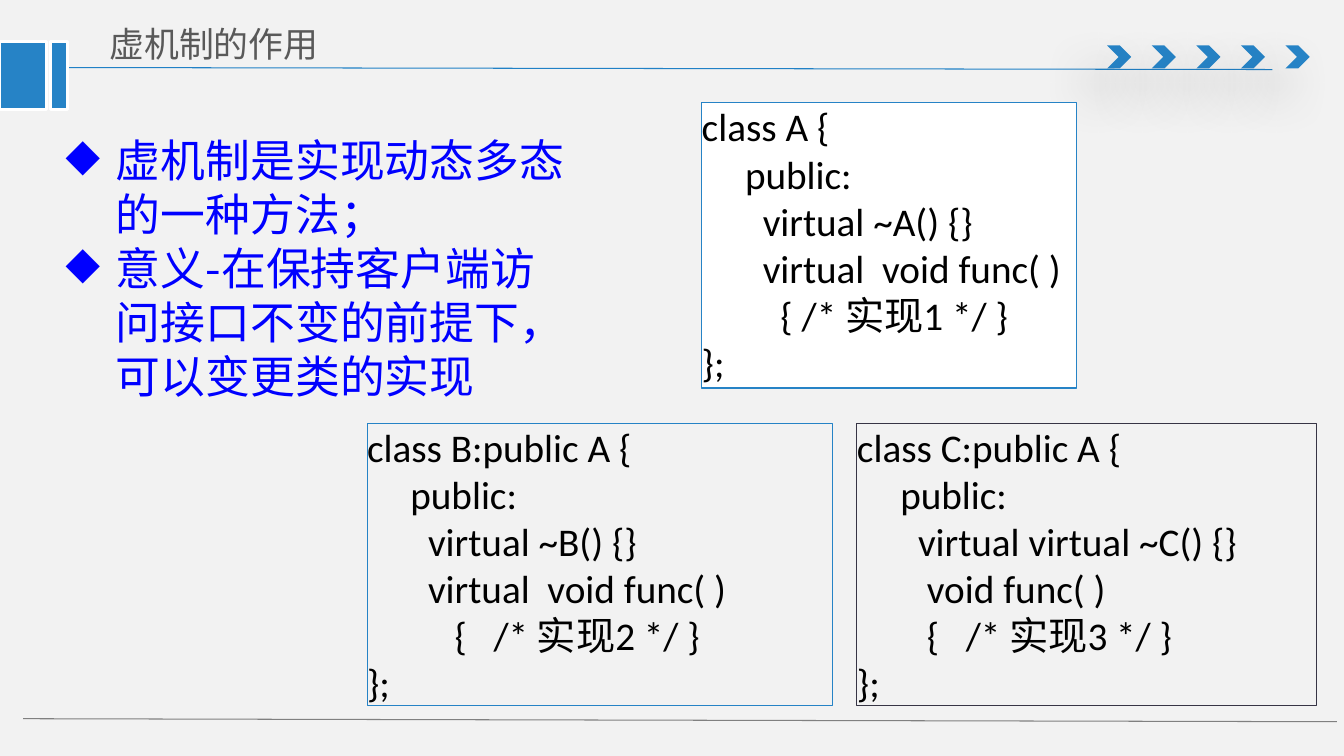
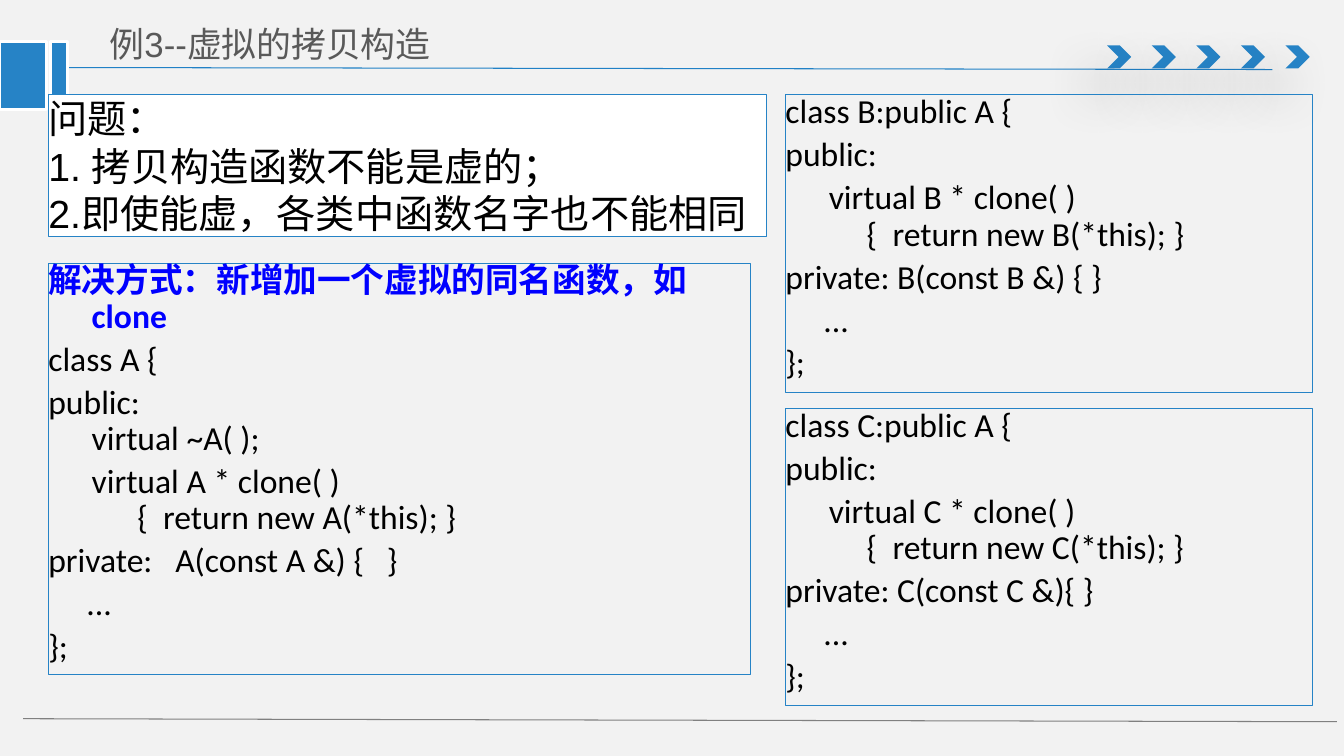
import pptx
import pptx.dml.color
import pptx.enum.shapes
import pptx.enum.text
import pptx.oxml
import pptx.oxml.ns
import pptx.util
from lxml import etree

Inches = pptx.util.Inches
Pt = pptx.util.Pt
PRESET = pptx.enum.shapes.MSO_SHAPE
ANCHOR = pptx.enum.text.MSO_ANCHOR

BLUE, RULE_BLUE, GRAY = "2683C6", "2181C6", "808080"
WHITE, BLACK, DARK = "FFFFFF", "000000", "373545"
PAPER, TITLE_GRAY, ACCENT = "F2F2F2", "595959", "0000FF"
TITLE_FONT, CODE_FONT, POINT_FONT = "Arial", "Calibri", "Noto Sans CJK SC"
CODE_INDENT, POINT_INDENT = 0.43, 0.5


def rgb(value):
    """Turn a hex string into a colour."""
    return pptx.dml.color.RGBColor.from_string(value)


def sub(parent, tag, **attributes):
    """Append a DrawingML element to a parent."""
    return etree.SubElement(parent, pptx.oxml.ns.qn("a:" + tag), attributes)


def add_rule(slide, start, end, color):
    """Draw a thin straight rule without a shadow."""
    rule = slide.shapes.add_connector(
        pptx.enum.shapes.MSO_CONNECTOR.STRAIGHT,
        *(Inches(value) for value in start + end))
    rule.line.color.rgb = rgb(color)
    rule.line.width = Pt(0.75)
    sub(rule.element.spPr, "effectLst")


def add_block(slide, preset, box, fill=None, line=None, width=0.75):
    """Add a preset shape with flat fill and outline."""
    block = slide.shapes.add_shape(preset, *(Inches(value) for value in box))
    if fill:
        block.fill.solid()
        block.fill.fore_color.rgb = rgb(fill)
    else:
        block.fill.background()
    if line:
        block.line.color.rgb = rgb(line)
        block.line.width = Pt(width)
    else:
        block.line.fill.background()
    block.shadow.inherit = False
    return block


def add_chevrons(slide, left, top, count=5, step=0.4425):
    """Place the row of shadowed chevrons."""
    for index in range(count):
        chevron = add_block(slide, PRESET.CHEVRON,
                            (left + index * step, top, 0.24, 0.23), BLUE)
        effects = chevron.element.spPr.find(pptx.oxml.ns.qn("a:effectLst"))
        shadow = sub(effects, "outerShdw", blurRad=str(Pt(36)), dist=str(Pt(24)),
                     dir=str(130 * 60000), algn="ctr", rotWithShape="0")
        sub(sub(shadow, "srgbClr", val=BLACK), "alpha", val="38000")


def prepare_frame(shape, inset=0, anchor=ANCHOR.TOP):
    """Set wrapping, margins and anchor, and return the text frame."""
    frame = shape.text_frame
    frame.word_wrap = True
    frame.margin_left = frame.margin_right = Inches(inset)
    frame.margin_top = frame.margin_bottom = Inches(inset / 2)
    frame.vertical_anchor = anchor
    return frame


def write_paragraphs(frame, texts, font, size, color, indent=0,
                     spacing=None, before=0, bullet=None, lead=False):
    """Write each text as a paragraph; lead makes the first one bold and blue."""
    for index, text in enumerate(texts):
        paragraph = frame.paragraphs[0] if index == 0 else frame.add_paragraph()
        paragraph.alignment = pptx.enum.text.PP_ALIGN.LEFT
        if spacing:
            paragraph.line_spacing = spacing
        if before and index:
            paragraph.space_before = Pt(before)
        properties = paragraph._p.get_or_add_pPr()
        if indent:
            properties.set("marL", str(Inches(indent)))
            properties.set("indent", str(-Inches(indent)))
        if bullet:
            sub(sub(properties, "buClr"), "srgbClr", val=color)
            sub(properties, "buChar", char=bullet)
        leading = lead and index == 0
        for number, line in enumerate(text.split("\n")):
            if number:
                paragraph.add_line_break()
            run = paragraph.add_run()
            run.text = line
            run.font.name = font
            run.font.size = Pt(size)
            run.font.bold = leading
            run.font.color.rgb = rgb(ACCENT if leading else color)


def add_panel(slide, box, texts, fill=None, line=BLUE, font=CODE_FONT,
              size=28, indent=CODE_INDENT, **layout):
    """Add an outlined panel filled with text from its top left corner."""
    panel = add_block(slide, PRESET.RECTANGLE, box, fill, line)
    write_paragraphs(prepare_frame(panel), texts, font, size, BLACK,
                     indent, **layout)


def add_listing(slide, box, texts, lead=False):
    """Add a compact code panel."""
    add_panel(slide, box, texts, size=24, spacing=0.9, before=4.8, lead=lead)


def add_points(slide, box, texts):
    """Add the diamond bullet list."""
    points = slide.shapes.add_textbox(*(Inches(value) for value in box))
    write_paragraphs(prepare_frame(points), texts, POINT_FONT, 32, ACCENT,
                     POINT_INDENT, spacing=Pt(38.5), bullet="◆")


def start_slide(deck, title):
    """Add a slide with the shared background, bands, rules and title."""
    slide = deck.slides.add_slide(deck.slide_layouts[6])
    slide.background.fill.solid()
    slide.background.fill.fore_color.rgb = rgb(PAPER)
    add_rule(slide, (0.53, 0.67), (12.62, 0.69), RULE_BLUE)
    add_chevrons(slide, 10.98, 0.45)
    add_rule(slide, (0.23, 7.13), (13.26, 7.16), GRAY)
    for left, width in ((0, 0.46), (0.5, 0.17)):
        add_block(slide, PRESET.RECTANGLE, (left, 0.41, width, 0.68),
                  BLUE, WHITE, 2)
    heading = slide.shapes.add_textbox(
        Inches(0.99), Inches(0.14), Inches(4.63), Inches(0.55))
    write_paragraphs(prepare_frame(heading, 0.1, ANCHOR.BOTTOM), [title],
                     TITLE_FONT, 24.9, TITLE_GRAY)
    return slide


def clone_class(name, constructor):
    """Return the listing of a derived class with a clone function."""
    return [f"class {name}:public A {{", "public:",
            f"\tvirtual {name} * clone( )\n     {{  return new {name}(*this); }}",
            f"private: {constructor}", "     ...", "};"]


def build_purpose_slide(deck):
    """Build the slide on the purpose of the virtual mechanism."""
    slide = start_slide(deck, "虚机制的作用")
    add_points(slide, (0.65, 1.32, 4.98, 2.7), [
        "虚机制是实现动态多态的一种方法；",
        "意义-在保持客户端访问接口不变的前提下，可以变更类的实现"])
    add_panel(slide, (6.96, 1.02, 3.72, 2.83), [
        "class A {\npublic:\n  virtual ~A() {}\n  virtual  void func( )\n"
        "    { /* 实现1 */ }", "};"], fill=WHITE)
    add_panel(slide, (3.64, 4.2, 4.62, 2.8), [
        "class B:public A {\npublic:\n  virtual ~B() {}\n"
        "  virtual  void func( )\n     {   /* 实现2 */ }", "};"])
    add_panel(slide, (8.5, 4.2, 4.56, 2.8), [
        "class C:public A {\npublic:\n  virtual virtual ~C() {}\n"
        "   void func( )\n   {   /* 实现3 */ }", "};"], line=DARK)


def build_clone_slide(deck):
    """Build the slide on virtual copy construction."""
    slide = start_slide(deck, "例3--虚拟的拷贝构造")
    add_panel(slide, (0.48, 0.94, 7.12, 1.41), [
        "问题：\n1. 拷贝构造函数不能是虚的；",
        "2.即使能虚，各类中函数名字也不能相同"],
        fill=WHITE, font=TITLE_FONT, indent=0)
    add_listing(slide, (0.48, 2.61, 6.96, 4.08), [
        "解决方式：新增加一个虚拟的同名函数，如clone",
        "class A {", "public:\nvirtual ~A( );",
        "\tvirtual A * clone( )\n      {  return new A(*this); }",
        "private:   A(const A &) {   }", "     ...", "};"], lead=True)
    derived = (("B", "B(const B &) { }", 0.94), ("C", "C(const C &){ }", 4.05))
    for name, constructor, top in derived:
        add_listing(slide, (7.79, top, 5.23, 2.95),
                    clone_class(name, constructor))


def main():
    """Build and save the deck."""
    deck = pptx.Presentation()
    deck.slide_width, deck.slide_height = Inches(13.33), Inches(7.5)
    build_purpose_slide(deck)
    build_clone_slide(deck)
    deck.save("out.pptx")


if __name__ == "__main__":
    main()
